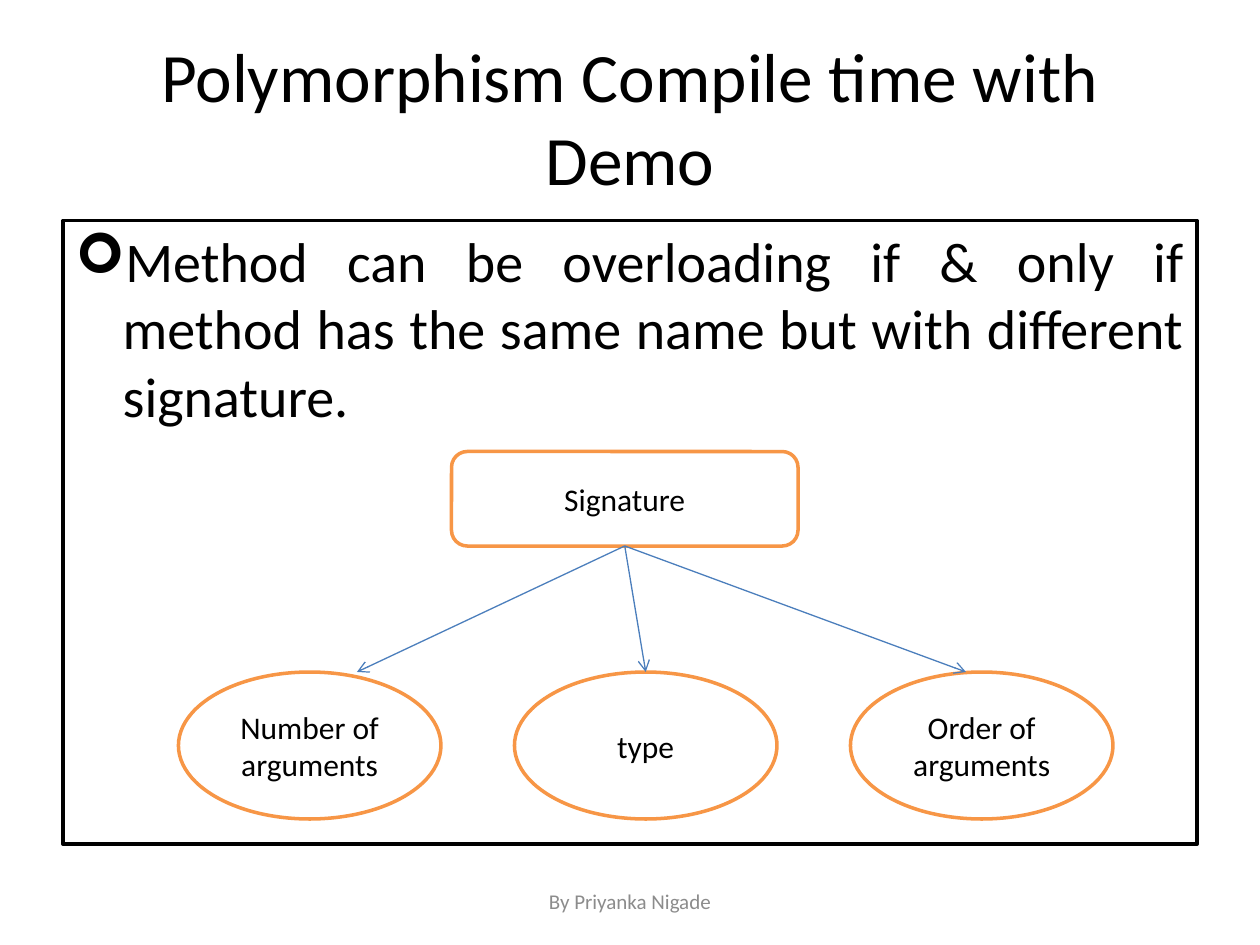
from pptx import Presentation
from pptx.dml.color import RGBColor
from pptx.enum.shapes import MSO_CONNECTOR as Connector, MSO_SHAPE as Shape
from pptx.enum.text import MSO_ANCHOR as Anchor, PP_ALIGN as Align
from pptx.oxml.ns import qn
from pptx.util import Pt
from lxml.etree import SubElement

COLORS = {
    "black": "000000",
    "white": "FFFFFF",
    "orange": "F79646",
    "blue": "4B7EBC",
    "gray": "8C8C8C",
}


class SlideBuilder:
    font = "Calibri"

    def __init__(self, slide):
        self.slide = slide

    def color(self, name):
        return RGBColor.from_string(COLORS[name])

    def set_text(self, shape, text, size, color="black", align=Align.CENTER, anchor=Anchor.MIDDLE):
        frame = shape.text_frame
        frame.text = text
        frame.word_wrap = True
        frame.vertical_anchor = anchor
        paragraph = frame.paragraphs[0]
        paragraph.alignment = align
        font = paragraph.runs[0].font
        font.name, font.size = self.font, Pt(size)
        font.color.rgb = self.color(color)
        return paragraph

    def title(self, text, box, size):
        title = self.slide.shapes.title
        title.left, title.top, title.width, title.height = map(Pt, box)
        self.set_text(title, text, size)

    def text(self, text, box, size, color):
        textbox = self.slide.shapes.add_textbox(*map(Pt, box))
        self.set_text(textbox, text, size, color)

    def shape(self, kind, text, box, line, size=18, **style):
        shape = self.slide.shapes.add_shape(kind, *map(Pt, box))
        shape.shadow.inherit = False
        shape.fill.solid()
        shape.fill.fore_color.rgb = self.color("white")
        shape.line.color.rgb = self.color(line)
        shape.line.width = Pt(2)
        return self.set_text(shape, text, size, **style)

    def bullet(self, paragraph, character, indent):
        properties = paragraph._p.get_or_add_pPr()
        properties.set("marL", str(Pt(indent)))
        properties.set("indent", str(-Pt(indent)))
        SubElement(properties, qn("a:buFont"), typeface="Wingdings")
        SubElement(properties, qn("a:buChar"), char=character)

    def arrow(self, start, end):
        connector = self.slide.shapes.add_connector(
            Connector.STRAIGHT, *map(Pt, start + end))
        connector.line.color.rgb = self.color("blue")
        connector.line.width = Pt(0.75)
        properties = connector._element.spPr
        SubElement(properties.find(qn("a:ln")), qn("a:tailEnd"), type="arrow")
        SubElement(properties, qn("a:effectLst"))


def main():
    presentation = Presentation()
    presentation.slide_width, presentation.slide_height = Pt(720), Pt(540)
    title_only = presentation.slide_layouts[5]
    builder = SlideBuilder(presentation.slides.add_slide(title_only))

    # Title and framed statement
    builder.title("Polymorphism Compile time with Demo", (36, 21.6, 648, 90), 39.6)
    statement = builder.shape(
        Shape.RECTANGLE,
        "Method can be overloading if & only if method has the same name "
        "but with different signature.",
        (36, 126, 648, 356.4), "black", size=32, align=Align.JUSTIFY, anchor=Anchor.TOP)
    statement.space_before = Pt(6.4)
    builder.bullet(statement, "➢", 27)

    # Signature and its three parts
    builder.shape(Shape.ROUNDED_RECTANGLE, "Signature", (258, 258, 198, 54), "orange")
    parts = ["Number of arguments", "type", "Order of arguments"]
    part_top = 384
    for index, part in enumerate(parts):
        builder.shape(Shape.OVAL, part, (102 + 192 * index, part_top, 150, 84), "orange")

    # Arrows from the signature to its parts
    for arrow_end in (204, 369, 552):
        builder.arrow((357, 312), (arrow_end, part_top))

    # Footer
    builder.text("By Priyanka Nigade", (246, 500.5, 228, 28.75), 12, "gray")

    presentation.save("out.pptx")


if __name__ == "__main__":
    main()
